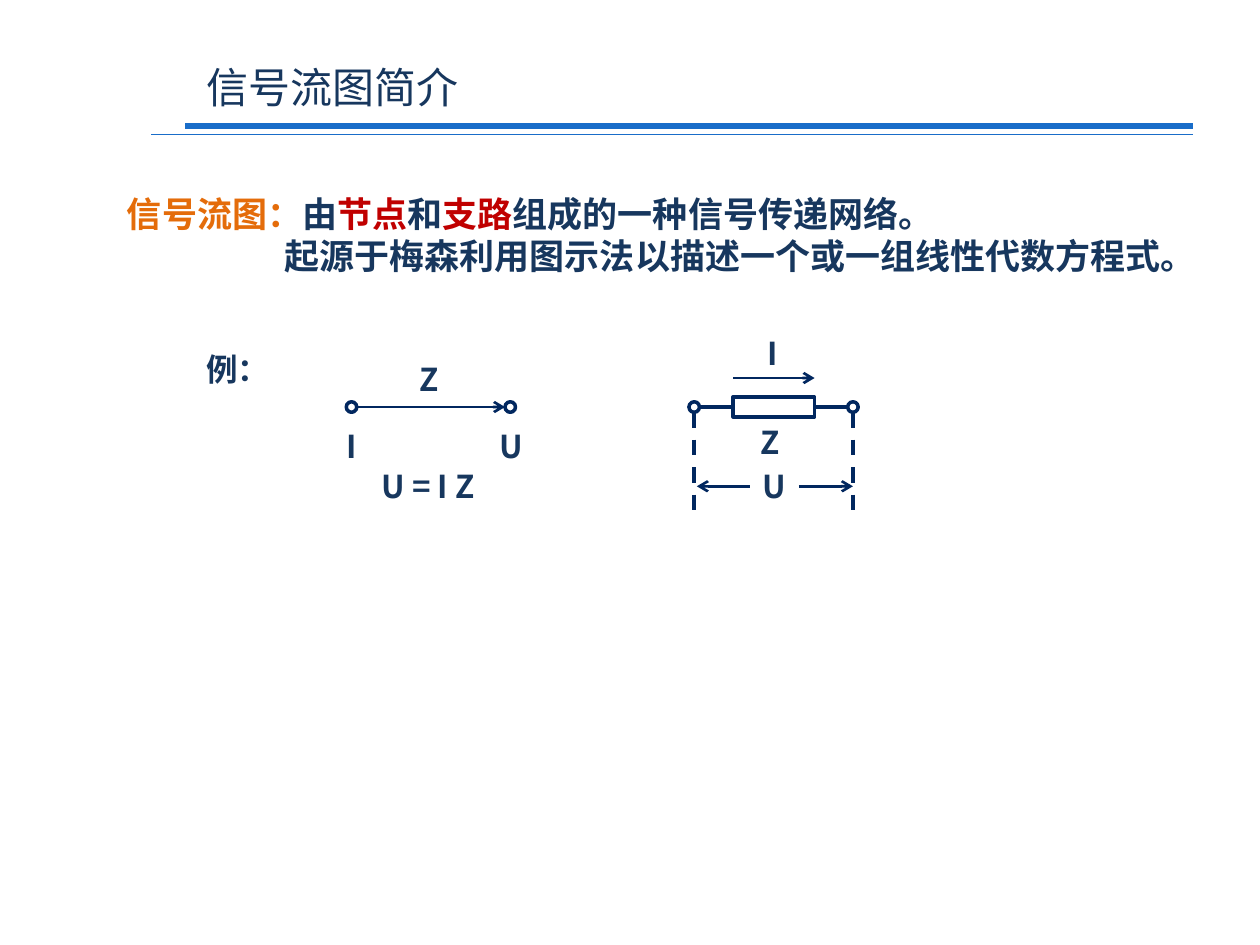
from lxml.etree import SubElement
from pptx import Presentation
from pptx.dml.color import RGBColor
from pptx.enum.dml import MSO_LINE
from pptx.enum.shapes import MSO_CONNECTOR, MSO_SHAPE
from pptx.enum.text import MSO_AUTO_SIZE
from pptx.oxml.ns import qn
from pptx.util import Pt

RULE_BLUE = RGBColor(0x19, 0x6D, 0xC9)
NAVY = RGBColor(0x01, 0x27, 0x5F)
TEXT_BLUE = RGBColor(0x17, 0x37, 0x5E)
ORANGE = RGBColor(0xE4, 0x6C, 0x0A)
RED = RGBColor(0xC0, 0x00, 0x00)
CJK_FONT = "Noto Sans CJK SC"

presentation = Presentation()
presentation.slide_width, presentation.slide_height = Pt(720), Pt(540)
slide = presentation.slides.add_slide(presentation.slide_layouts[6])
shapes = slide.shapes


def add_text(left, top, width, height, paragraphs, size, latin=CJK_FONT,
             bold=True, wrap=False):
    """Add a text box; each paragraph is a list of (text, colour) runs."""
    frame = shapes.add_textbox(Pt(left), Pt(top), Pt(width), Pt(height)).text_frame
    frame.word_wrap = wrap
    frame.auto_size = MSO_AUTO_SIZE.SHAPE_TO_FIT_TEXT
    for index, runs in enumerate(paragraphs):
        paragraph = frame.add_paragraph() if index else frame.paragraphs[0]
        paragraph.line_spacing = Pt(size * 1.2)
        for text, color in runs:
            run = paragraph.add_run()
            run.text = text
            run.font.size, run.font.bold, run.font.name = Pt(size), bold, latin
            run.font.color.rgb = color
            SubElement(run.font._element, qn("a:ea"), typeface=CJK_FONT)
    return frame


def add_line(x1, y1, x2, y2, width, color=NAVY, arrow=False, dashed=False):
    line = shapes.add_connector(MSO_CONNECTOR.STRAIGHT, Pt(x1), Pt(y1), Pt(x2), Pt(y2))
    line.line.width = Pt(width)
    line.line.color.rgb = color
    if dashed:
        line.line.dash_style = MSO_LINE.DASH
    if arrow:
        SubElement(line.line._get_or_add_ln(), qn("a:tailEnd"), type="arrow")
    SubElement(line._element.spPr, qn("a:effectLst"))


# Title and its double rule
add_line(105.8, 72, 681.8, 72, 3, RULE_BLUE)
add_line(86.4, 77, 681.8, 77, 0.75, RULE_BLUE)
add_text(110.9, 31.7, 406.8, 36, [[("信号流图简介", TEXT_BLUE)]], 24,
         latin="Lato", bold=False, wrap=True)

# Definition, second line indented under the first
definition = add_text(65.5, 106.6, 623.5, 55.4, [
    [("信号流图：", ORANGE), ("由", TEXT_BLUE), ("节点", RED), ("和", TEXT_BLUE),
     ("支路", RED), ("组成的一种信号传递网络。", TEXT_BLUE)],
    [("起源于梅森利用图示法以描述一个或一组线性代数方程式。", TEXT_BLUE)],
], 20, wrap=True)
definition.margin_right = 0
definition.paragraphs[1]._p.get_or_add_pPr().set("marL", str(Pt(90)))

# Node positions of the flow graph (left) and the circuit (right)
RADIUS = 3
SPAN = 90.7
axis_y = 232.6
graph_in, circuit_in = 200.9, 396.7
graph_out, circuit_out = graph_in + SPAN, circuit_in + SPAN

# Nodes and the impedance box
outlines = [(MSO_SHAPE.OVAL, x - RADIUS, axis_y - RADIUS, 2 * RADIUS, 2 * RADIUS)
            for x in (graph_in, graph_out, circuit_in, circuit_out)]
box_left, box_right = 419, 465.5
outlines.append((MSO_SHAPE.RECTANGLE, box_left, 226.8, box_right - box_left, 11.5))
for kind, left, top, width, height in outlines:
    outline = shapes.add_shape(kind, Pt(left), Pt(top), Pt(width), Pt(height))
    outline.shadow.inherit = False
    outline.fill.background()
    outline.line.color.rgb = NAVY
    outline.line.width = Pt(2)

# Flow graph branch
add_line(graph_in + RADIUS, axis_y, graph_out - RADIUS, axis_y, 1.5, arrow=True)

# Circuit leads, current arrow and voltage dimension
add_line(circuit_in + RADIUS, axis_y, box_left, axis_y, 2.25)
add_line(box_right, axis_y, circuit_out - RADIUS, axis_y, 2.25)
add_line(box_left, 216, box_right, 216, 1.5, arrow=True)
for x in (circuit_in, circuit_out):
    add_line(x, axis_y + RADIUS, x, 292.3, 2.25, dashed=True)
add_line(456.5, 277.9, circuit_out, 277.9, 1.5, arrow=True)
add_line(428.4, 277.9, 398.2, 277.9, 1.5, arrow=True)

# Labels: text, left, top, width
for text, left, top, width in [
    ("例：", 110.9, 196.6, 51.1),
    ("I", 190.8, 240.5, 20.9),
    ("U", 278.6, 240.5, 27.4),
    ("Z", 232.6, 202.3, 27.4),
    ("U = I Z", 211, 263.5, 72),
    ("I", 431.3, 187.2, 20.9),
    ("U", 428.4, 263.5, 27.4),
    ("Z", 427.7, 238.3, 27.4),
]:
    add_text(left, top, width, 28.8, [[(text, TEXT_BLUE)]], 18)

presentation.save("out.pptx")
